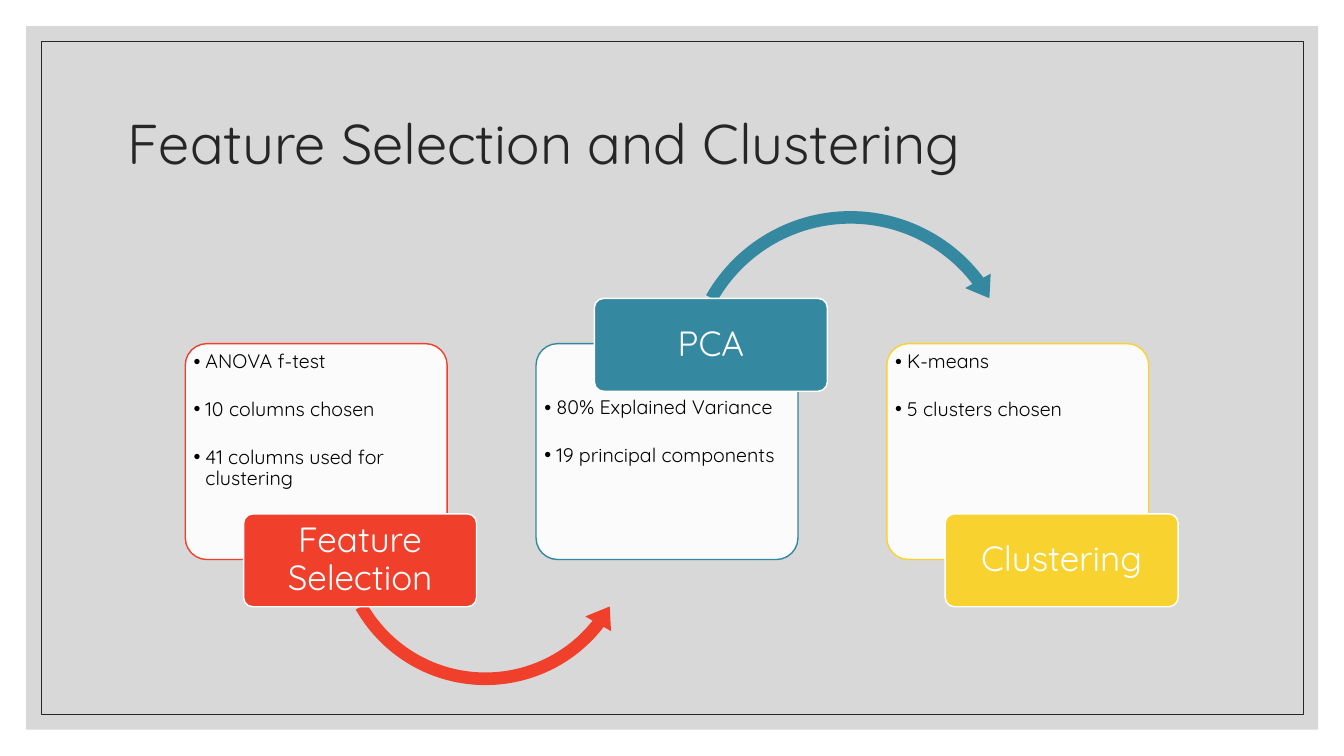
from lxml import etree
from pptx import Presentation
from pptx.dml.color import RGBColor
from pptx.enum.shapes import MSO_SHAPE
from pptx.enum.text import MSO_ANCHOR, MSO_AUTO_SIZE, PP_ALIGN
from pptx.oxml.ns import qn
from pptx.util import Cm, Pt

RECTANGLE = MSO_SHAPE.RECTANGLE
ROUNDED = MSO_SHAPE.ROUNDED_RECTANGLE
ARC_BELOW = MSO_SHAPE.LEFT_CIRCULAR_ARROW
ARC_ABOVE = MSO_SHAPE.CIRCULAR_ARROW
TOP, MIDDLE = MSO_ANCHOR.TOP, MSO_ANCHOR.MIDDLE
LEFT, CENTER = PP_ALIGN.LEFT, PP_ALIGN.CENTER

FONT = "Quicksand"
WHITE = RGBColor(0xFF, 0xFF, 0xFF)
BLACK = RGBColor(0x00, 0x00, 0x00)
INK = RGBColor(0x26, 0x26, 0x26)
GREY = RGBColor(0xBF, 0xBF, 0xBF)
RED = RGBColor(0xF0, 0x3F, 0x2B)
TEAL = RGBColor(0x34, 0x88, 0xA0)
YELLOW = RGBColor(0xF8, 0xD2, 0x2F)

CARD_LEFT, CARD_TOP, CARD_STEP = 4.67, 8.66, 8.84
CARD_WIDTH, CARD_HEIGHT = 6.6, 5.44
LABEL_SHIFT, LABEL_WIDTH, LABEL_HEIGHT = 1.47, 5.87, 2.34
LABEL_HIGH, LABEL_LOW = 7.52, 12.95

STEPS = [
    ("Feature Selection", RED, False,
     ["ANOVA f-test", "10 columns chosen", "41 columns used for clustering"]),
    ("PCA", TEAL, True, ["80% Explained Variance", "19 principal components"]),
    ("Clustering", YELLOW, False, ["K-means", "5 clusters chosen"]),
]
ARROWS = [
    (ARC_BELOW, RED, 8.26, 9.53, 7.95, (0.04, 5.013, 22.768, 90.245, 0.047)),
    (ARC_ABOVE, TEAL, 17.04, 5.11, 8.79, (0.036, 4.491, 193.754, 125.755, 0.042)),
]


def add_box(page, kind, left, top, width, height, fill=None, line=None, weight=1, opacity=100):
    box = page.shapes.add_shape(kind, Cm(left), Cm(top), Cm(width), Cm(height))
    box.shadow.inherit = False
    if fill is None:
        box.fill.background()
    else:
        box.fill.solid()
        box.fill.fore_color.rgb = fill
        if opacity < 100:
            color = box.element.spPr.find(qn("a:solidFill"))[0]
            etree.SubElement(color, qn("a:alpha")).set("val", str(opacity * 1000))
    if line is None:
        box.line.fill.background()
    else:
        box.line.color.rgb = line
        box.line.width = Pt(weight)
    if kind == ROUNDED:
        box.adjustments[0] = 0.1
    return box


def set_text(box, lines, size, color, align, anchor):
    frame = box.text_frame
    frame.word_wrap = True
    frame.auto_size = MSO_AUTO_SIZE.NONE
    frame.vertical_anchor = anchor
    frame.text = "\n".join(lines)
    for para in frame.paragraphs:
        para.alignment = align
        para.line_spacing = 0.9
        para.font.name = FONT
        para.font.size = Pt(size)
        para.font.color.rgb = color
    return frame


def set_margins(frame, side, top, bottom):
    frame.margin_left = frame.margin_right = Cm(side)
    frame.margin_top, frame.margin_bottom = Cm(top), Cm(bottom)


def add_bullet(para):
    properties = para._p.get_or_add_pPr()
    properties.set("marL", str(Cm(0.3)))
    properties.set("indent", str(-Cm(0.3)))
    etree.SubElement(properties, qn("a:buFont")).set("typeface", "Arial")
    etree.SubElement(properties, qn("a:buChar")).set("char", "•")
    defaults = properties.find(qn("a:defRPr"))
    if defaults is not None:
        properties.append(defaults)


def add_title(page, text):
    title = page.shapes.title
    title.left, title.top, title.width, title.height = Cm(2.97), Cm(1.78), Cm(27.94), Cm(3.81)
    set_text(title, [text], 40, INK, LEFT, MIDDLE)
    panel = add_box(page, RECTANGLE, 0.66, 0.66, 32.56, 17.73, fill=GREY, opacity=60)
    border = add_box(page, RECTANGLE, 1.04, 1.04, 31.8, 16.97, line=INK, weight=0.5)
    for backdrop in (panel, border):
        title.element.addprevious(backdrop.element)


def add_card(page, left, color, label_above, points):
    card = add_box(page, ROUNDED, left, CARD_TOP, CARD_WIDTH, CARD_HEIGHT, WHITE, color, opacity=90)
    frame = set_text(card, points, 14, BLACK, LEFT, TOP)
    set_margins(frame, 0.05, 1.21 if label_above else 0.05, 0.05)
    for para in frame.paragraphs:
        para.space_after = Pt(19)
        add_bullet(para)


def add_arrow(page, kind, color, left, top, size, adjustments):
    arrow = add_box(page, kind, left, top, size, size, color)
    for index, value in enumerate(adjustments):
        arrow.adjustments[index] = value


def add_label(page, left, name, color, above):
    top = LABEL_HIGH if above else LABEL_LOW
    label = add_box(page, ROUNDED, left + LABEL_SHIFT, top, LABEL_WIDTH, LABEL_HEIGHT, color, WHITE)
    frame = set_text(label, [name], 25, WHITE, CENTER, MIDDLE)
    set_margins(frame, 0.13, 0.08, 0.08)


def main():
    deck = Presentation()
    deck.slide_width, deck.slide_height = Cm(33.87), Cm(19.05)
    page = deck.slides.add_slide(deck.slide_layouts[5])
    add_title(page, "Feature Selection and Clustering")
    for index, (name, color, above, points) in enumerate(STEPS):
        left = CARD_LEFT + index * CARD_STEP
        add_card(page, left, color, above, points)
        if index < len(ARROWS):
            add_arrow(page, *ARROWS[index])
        add_label(page, left, name, color, above)
    deck.save("out.pptx")


if __name__ == "__main__":
    main()
